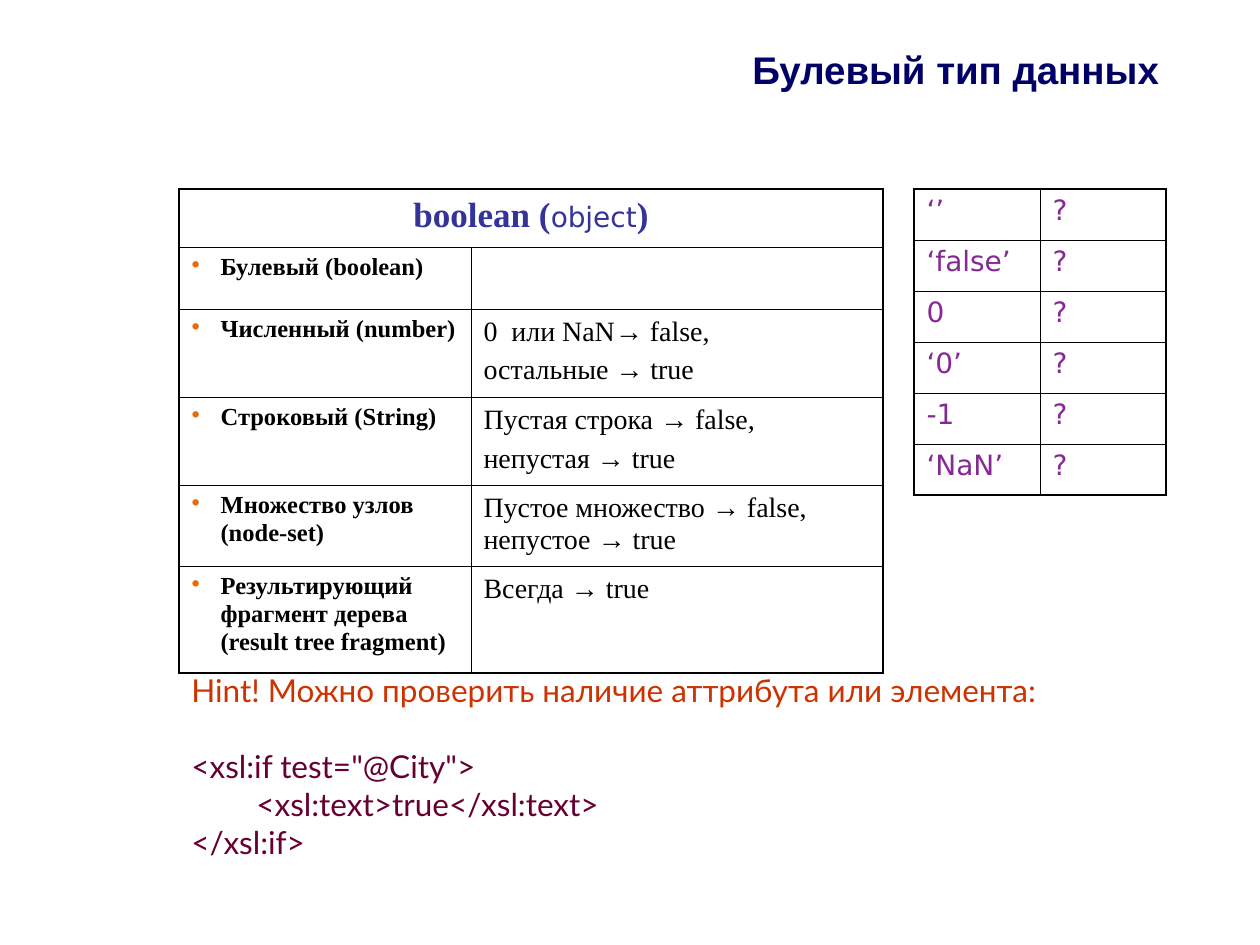
"""Build a slide on the boolean data type with two tables and a hint."""
from lxml.etree import SubElement as Sub
from pptx import Presentation
from pptx.dml.color import RGBColor
from pptx.enum.text import MSO_ANCHOR as Anchor, PP_ALIGN as Align
from pptx.oxml import parse_xml
from pptx.oxml.ns import nsdecls, qn
from pptx.util import Emu, Pt

SCALE = 914400 / 126
NAVY = RGBColor(0x00, 0x00, 0x66)
BLUE = RGBColor(0x33, 0x33, 0x99)
BLACK = RGBColor(0x00, 0x00, 0x00)
PURPLE = RGBColor(0x86, 0x29, 0x95)
RED = RGBColor(0xCC, 0x33, 0x00)
WINE = RGBColor(0x66, 0x00, 0x33)
ORANGE = RGBColor(0xE9, 0x68, 0x07)
SERIF, SANS, MONO, BODY = "Times New Roman", "Arial", "DejaVu Sans", "Lato"
THICK, THIN = 1.08, 0.45

TYPES = [
    ("Булевый (boolean)", []),
    ("Численный (number)", ["0  или NaN→ false,", "остальные → true"]),
    ("Строковый (String)", ["Пустая строка → false,", "непустая → true"]),
    ("Множество узлов (node-set)",
     ["Пустое множество → false, непустое → true"]),
    ("Результирующий фрагмент дерева (result tree fragment)",
     ["Всегда → true"]),
]
VALUES = ["‘’", "‘false’", "0", "‘0’", "-1", "‘NaN’"]
CODE = [
    ("Hint! Можно проверить наличие аттрибута или элемента:", RED, 0, 4.5),
    ('<xsl:if test="@City">', WINE, 0, 26.3),
    ("<xsl:text>true</xsl:text>", WINE, 65, 4.5),
    ("</xsl:if>", WINE, 0, 4.5),
]


def px(num):
    """Turn pixels into EMU."""
    return Emu(round(num * SCALE))


def add_run(para, text, size, font, color, bold=False):
    """Add one styled run."""
    run = para.add_run()
    run.text = text
    face = run.font
    face.size, face.name, face.bold = Pt(size), font, bold
    face.color.rgb = color


def add_para(frame, runs, line=1.0, before=0, align=Align.LEFT):
    """Fill the first empty paragraph or add one."""
    para = frame.paragraphs[0]
    if para.runs:
        para = frame.add_paragraph()
    para.line_spacing, para.space_before = line, Pt(before)
    para.alignment = align
    for run in runs:
        add_run(para, *run)
    return para


def add_box(slide, left, top, width, height):
    """Add a wrapping text box and return its frame."""
    box = slide.shapes.add_textbox(px(left), px(top), px(width), px(height))
    box.text_frame.word_wrap = True
    return box.text_frame


def add_bullet(para, gap):
    """Give the paragraph an orange bullet with a hanging indent."""
    props = para._p.get_or_add_pPr()
    props.set("marL", str(px(gap)))
    props.set("indent", str(-px(gap)))
    Sub(Sub(props, qn("a:buClr")), qn("a:srgbClr")).set("val", str(ORANGE))
    Sub(props, qn("a:buChar")).set("char", "•")


def set_edges(cell, sides):
    """Draw black cell borders, thick where the flag is set."""
    props = cell._tc.get_or_add_tcPr()
    for pos, (side, outer) in enumerate(sides.items()):
        width = Pt(THICK if outer else THIN)
        props.insert(pos, parse_xml(
            f'<a:ln{side} {nsdecls("a")} w="{width}"><a:solidFill>'
            f'<a:srgbClr val="{BLACK}"/></a:solidFill></a:ln{side}>'))


def add_grid(slide, left, top, cols, rows, head=False):
    """Add a plain table, with an optional merged top row."""
    table = slide.shapes.add_table(
        len(rows), len(cols), px(left), px(top),
        px(sum(cols)), px(sum(rows))).table
    table.first_row = table.horz_banding = False
    for col, width in zip(table.columns, cols):
        col.width = px(width)
    for row, height in zip(table.rows, rows):
        row.height = px(height)
    if head:
        table.cell(0, 0).merge(table.cell(0, len(cols) - 1))
    for y in range(len(rows)):
        for x in range(len(cols)):
            cell = table.cell(y, x)
            cell.fill.background()
            end = x + cell.span_width if cell.is_merge_origin else x + 1
            set_edges(cell, {"L": x == 0, "R": end == len(cols),
                             "T": y == 0, "B": y == len(rows) - 1})
    return table


def split_runs(text):
    """Set arrows in the sans font and the rest in the serif font."""
    runs = []
    for pos, part in enumerate(text.split("→")):
        if pos:
            runs.append(("→", 16, SANS, BLACK))
        runs.append((part, 16, SERIF, BLACK))
    return runs


def add_types(slide):
    """Add the table of conversion rules."""
    table = add_grid(slide, 179, 189, [292, 412],
                     [58, 62, 87, 87, 80, 107], head=True)
    add_para(table.cell(0, 0).text_frame,
             [("boolean (", 20, SERIF, BLUE, True),
              ("object", 16, MONO, BLUE),
              (")", 20, SERIF, BLUE, True)], 1.02, 5, Align.CENTER)
    for row, (name, rules) in enumerate(TYPES, 1):
        para = add_para(table.cell(row, 0).text_frame,
                        [(name, 14, SERIF, BLACK, True)], 1.02, 3.5)
        add_bullet(para, 29)
        for rule in rules:
            add_para(table.cell(row, 1).text_frame,
                     split_runs(rule), 1.02, 4)


def add_quiz(slide):
    """Add the table of values to guess."""
    table = add_grid(slide, 914, 189, [126, 126], [51] * len(VALUES))
    for row, value in enumerate(VALUES):
        for col, text in enumerate((value, "?")):
            add_para(table.cell(row, col).text_frame,
                     [(text, 16, MONO, PURPLE)], 0.98, 4)


def add_hint(slide):
    """Add the hint and its code lines."""
    frame = add_box(slide, 179, 672, 1018, 199)
    for text, color, left, before in CODE:
        para = add_para(frame, [(text, 18, BODY, color)], 0.8, before)
        para._p.get_or_add_pPr().set("marL", str(px(left)))


def main():
    """Build and save the slide."""
    deck = Presentation()
    deck.slide_width, deck.slide_height = px(1260), px(945)
    slide = deck.slides.add_slide(deck.slide_layouts[6])
    title = add_box(slide, 662, -10, 598, 158)
    title.vertical_anchor = Anchor.MIDDLE
    add_para(title, [("Булевый тип данных ", 22, SANS, NAVY, True)],
             align=Align.CENTER)
    add_quiz(slide)
    add_hint(slide)
    add_types(slide)
    deck.save("out.pptx")


if __name__ == "__main__":
    main()
